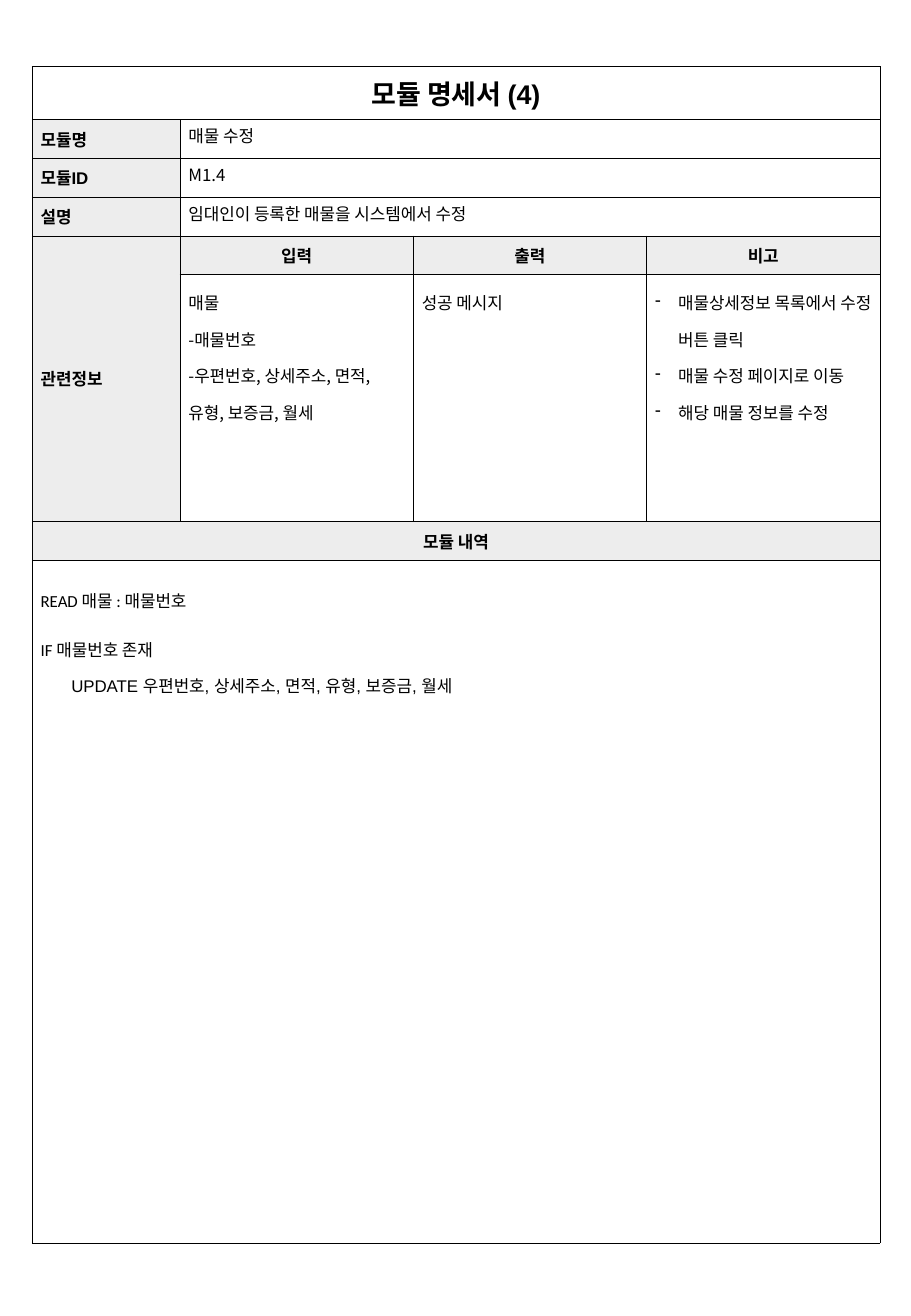
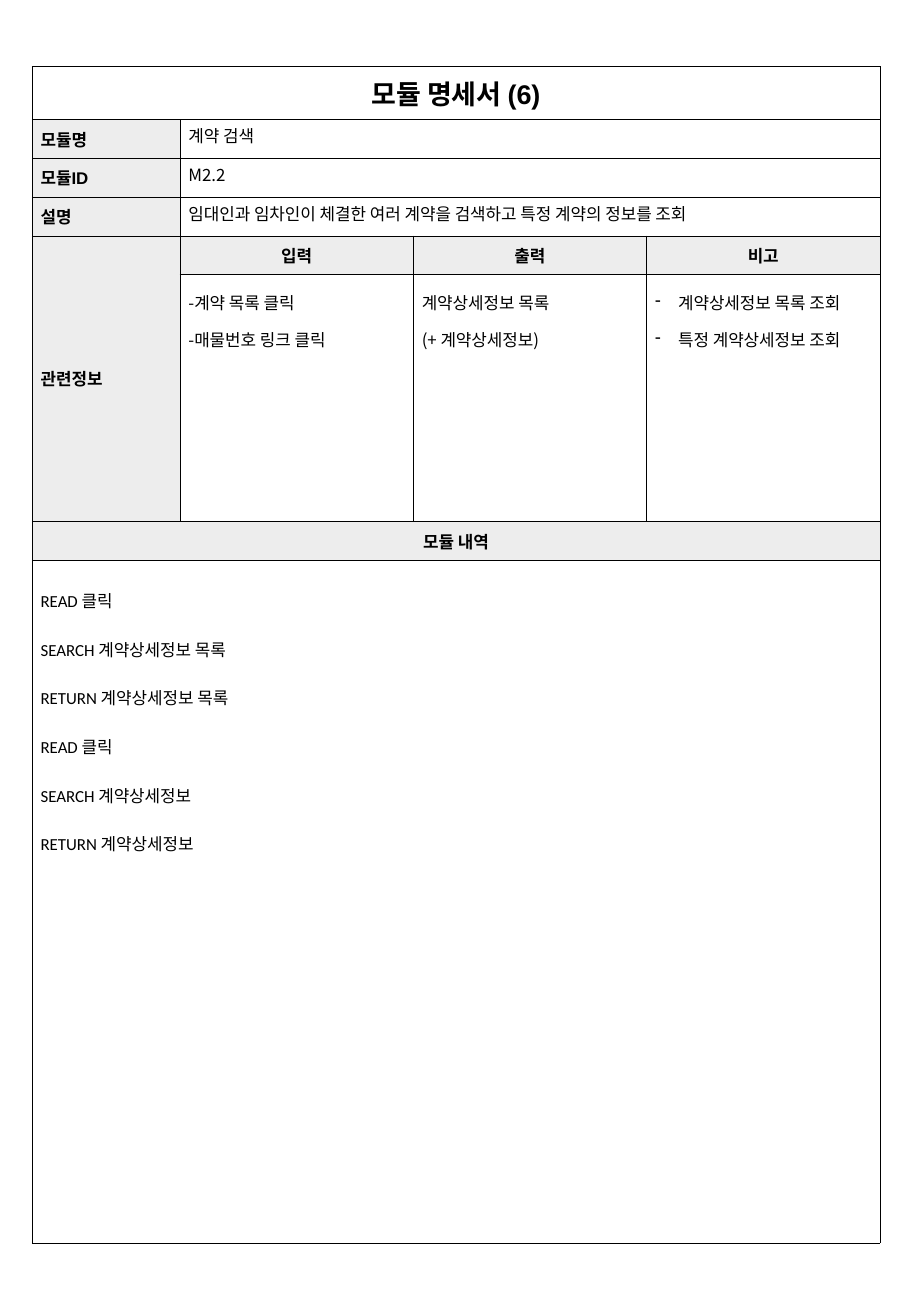
from lxml import etree
from pptx import Presentation
from pptx.dml.color import RGBColor
from pptx.enum.text import MSO_ANCHOR, PP_ALIGN
from pptx.oxml.ns import qn
from pptx.util import Cm, Pt

CENTER, LEFT = PP_ALIGN.CENTER, PP_ALIGN.LEFT
MIDDLE, TOP = MSO_ANCHOR.MIDDLE, MSO_ANCHOR.TOP
COLORS = {"text": "000000", "line": "000000", "label": "EDEDED", "paper": "FFFFFF"}
LABEL_FONT, KOREAN_FONT, CODE_FONT = "Arial", "Noto Sans CJK KR", "Calibri"
BODY_SIZE, TITLE_SIZE = 10, 16
BORDER_WIDTH = 0.25
COLUMN_WIDTHS = [3.09] + [4.88] * 3
ROW_HEIGHTS = [1.11] + [0.81] * 4 + [5.16, 0.81, 14.28]
LAST_COLUMN = len(COLUMN_WIDTHS) - 1
FIELD_LABELS = ["모듈명", "모듈ID", "설명"]
COLUMN_HEADINGS = ["입력", "출력", "비고"]
CODE_INDENT = 0.64
BULLET_INDENT = 0.48

MODULES = [
    {
        "number": 4,
        "fields": ["매물 수정", "M1.4", "임대인이 등록한 매물을 시스템에서 수정"],
        "inputs": ["매물", "-매물번호", "-우편번호, 상세주소, 면적, 유형, 보증금, 월세"],
        "outputs": ["성공 메시지"],
        "remarks": ["매물상세정보 목록에서 수정 버튼 클릭", "매물 수정 페이지로 이동", "해당 매물 정보를 수정"],
        "steps": ["READ 매물 : 매물번호", "IF 매물번호 존재"],
        "nested_steps": ["UPDATE 우편번호, 상세주소, 면적, 유형, 보증금, 월세"],
    },
    {
        "number": 6,
        "fields": ["계약 검색", "M2.2", "임대인과 임차인이 체결한 여러 계약을 검색하고 특정 계약의 정보를 조회"],
        "inputs": ["-계약 목록 클릭", "-매물번호 링크 클릭"],
        "outputs": ["계약상세정보 목록", "(+ 계약상세정보)"],
        "remarks": ["계약상세정보 목록 조회", "특정 계약상세정보 조회"],
        "steps": [
            "READ 클릭", "SEARCH 계약상세정보 목록", "RETURN 계약상세정보 목록",
            "READ 클릭", "SEARCH 계약상세정보", "RETURN 계약상세정보",
        ],
        "nested_steps": [],
    },
]


def add_borders(cell):
    """Draw a thin line on all four sides of a cell."""
    properties = cell._tc.get_or_add_tcPr()
    for position, side in enumerate(("lnL", "lnR", "lnT", "lnB")):
        line = etree.Element(qn(f"a:{side}"), w=str(Pt(BORDER_WIDTH)))
        fill = etree.SubElement(line, qn("a:solidFill"))
        etree.SubElement(fill, qn("a:srgbClr"), val=COLORS["line"])
        properties.insert(position, line)


def format_cell(cell, color, anchor=TOP):
    """Set the fill, margins and vertical anchor of a cell."""
    cell.fill.solid()
    cell.fill.fore_color.rgb = RGBColor.from_string(COLORS[color])
    cell.margin_left = cell.margin_right = Cm(0.18)
    cell.margin_top = cell.margin_bottom = Cm(0.08)
    cell.vertical_anchor = anchor


def set_indent(paragraph, left, hanging=0):
    """Indent a paragraph, with an optional hanging first line."""
    properties = paragraph._p.get_or_add_pPr()
    properties.set("marL", str(Cm(left)))
    properties.set("indent", str(-Cm(hanging)))


def add_bullet(paragraph):
    """Give a paragraph a hanging dash."""
    set_indent(paragraph, BULLET_INDENT, BULLET_INDENT)
    etree.SubElement(paragraph._p.get_or_add_pPr(), qn("a:buChar"), char="-")


def add_run(paragraph, text, font_name, size=BODY_SIZE, bold=False):
    """Add a run with its Latin and Korean fonts."""
    run = paragraph.add_run()
    run.text = text
    run.font.size = Pt(size)
    run.font.bold = bold
    run.font.name = font_name
    run.font.color.rgb = RGBColor.from_string(COLORS["text"])
    etree.SubElement(run._r.get_or_add_rPr(), qn("a:ea"), typeface=KOREAN_FONT)


def add_paragraph(cell, text, font_name=KOREAN_FONT, spacing=1.5):
    """Add a body paragraph, using the first one while it is empty."""
    frame = cell.text_frame
    first = frame.paragraphs[0]
    paragraph = frame.add_paragraph() if first.runs else first
    paragraph.line_spacing = spacing
    add_run(paragraph, text, font_name)
    return paragraph


def write_label(cell, text, alignment=LEFT, color="label", size=BODY_SIZE):
    """Write a bold label in the middle of a cell."""
    format_cell(cell, color, MIDDLE)
    paragraph = cell.text_frame.paragraphs[0]
    paragraph.alignment = alignment
    add_run(paragraph, text, LABEL_FONT, size, bold=True)


def add_specification_table(slide):
    """Add the empty bordered grid with its merged cells."""
    frame = slide.shapes.add_table(
        len(ROW_HEIGHTS), len(COLUMN_WIDTHS), Cm(0.67), Cm(1.39),
        Cm(sum(COLUMN_WIDTHS)), Cm(sum(ROW_HEIGHTS)),
    )
    table = frame.table
    table.first_row = table.horz_banding = False
    for column, width in zip(table.columns, COLUMN_WIDTHS):
        column.width = Cm(width)
    for row, height in zip(table.rows, ROW_HEIGHTS):
        row.height = Cm(height)
    for cell in table.iter_cells():
        format_cell(cell, "paper")
        add_borders(cell)
    for row in (0, 6, 7):
        table.cell(row, 0).merge(table.cell(row, LAST_COLUMN))
    for row in (1, 2, 3):
        table.cell(row, 1).merge(table.cell(row, LAST_COLUMN))
    table.cell(4, 0).merge(table.cell(5, 0))
    return table


def add_module_slide(presentation, module):
    """Add one module specification slide."""
    slide = presentation.slides.add_slide(presentation.slide_layouts[6])
    table = add_specification_table(slide)
    title = f"모듈 명세서 ({module['number']})"
    write_label(table.cell(0, 0), title, CENTER, "paper", TITLE_SIZE)
    for row, (label, value) in enumerate(zip(FIELD_LABELS, module["fields"]), 1):
        write_label(table.cell(row, 0), label)
        add_paragraph(table.cell(row, 1), value, spacing=1.0)
    write_label(table.cell(4, 0), "관련정보")
    for column, heading in enumerate(COLUMN_HEADINGS, 1):
        write_label(table.cell(4, column), heading, CENTER)
    for column, key in enumerate(("inputs", "outputs", "remarks"), 1):
        for text in module[key]:
            paragraph = add_paragraph(table.cell(5, column), text)
            if key == "remarks":
                add_bullet(paragraph)
    write_label(table.cell(6, 0), "모듈 내역", CENTER)
    for step in module["steps"]:
        add_paragraph(table.cell(7, 0), step, CODE_FONT, 2.0)
    for step in module["nested_steps"]:
        set_indent(add_paragraph(table.cell(7, 0), step, LABEL_FONT), CODE_INDENT)


def main():
    """Build and save the module specifications."""
    presentation = Presentation()
    presentation.slide_width, presentation.slide_height = Cm(19.05), Cm(27.51)
    for module in MODULES:
        add_module_slide(presentation, module)
    presentation.save("out.pptx")


if __name__ == "__main__":
    main()
